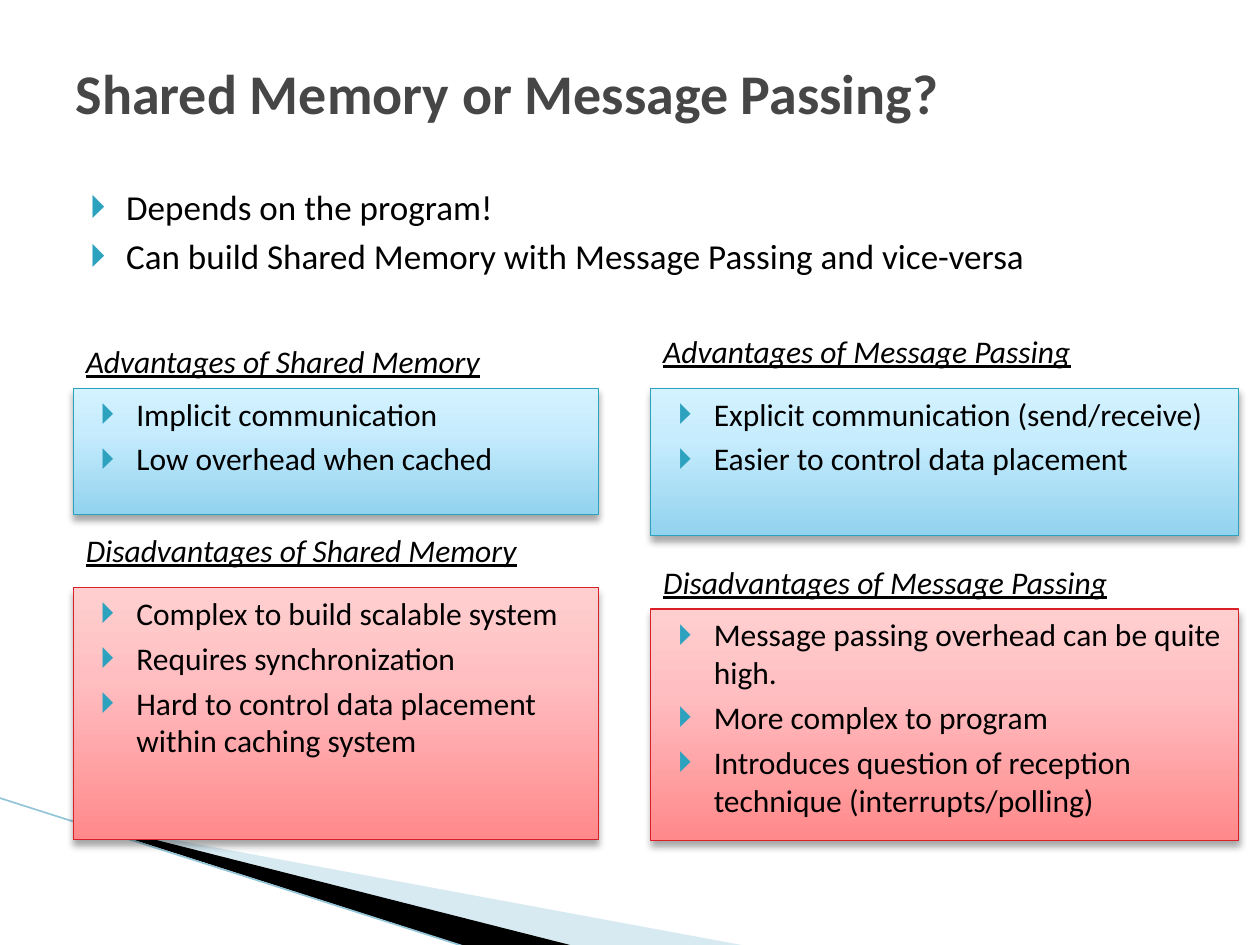
from lxml import etree
from pptx import Presentation
from pptx import util as u
from pptx.dml.color import RGBColor
from pptx.enum import shapes, text
from pptx.oxml import ns, parse_xml

FONT = "Calibri"
BULLET_FONT = "Arial"
BLACK = RGBColor(0x00, 0x00, 0x00)
TITLE_GREY = RGBColor(0x46, 0x46, 0x46)
TEAL = RGBColor(0x2D, 0xA2, 0xBF)
RED = RGBColor(0xDA, 0x1F, 0x28)
PALE_TEAL = RGBColor(0x9C, 0xCA, 0xDC)
LINE_BLUE = RGBColor(0x93, 0xC5, 0xD8)
# Gradient colours, from the bottom edge to the top edge
BLUE_SHADES = (RGBColor(0x92, 0xD3, 0xEE), RGBColor(0xC6, 0xEC, 0xFD), RGBColor(0xD4, 0xF2, 0xFF))
RED_SHADES = (RGBColor(0xFF, 0x89, 0x8B), RGBColor(0xFF, 0xBF, 0xC2), RGBColor(0xFF, 0xCF, 0xCF))
GRADIENT_STOPS = (0, 65, 100)
HEADING_HEIGHT = 1.02


def place(shape, left, top, width, height):
    shape.left, shape.top = u.Cm(left), u.Cm(top)
    shape.width, shape.height = u.Cm(width), u.Cm(height)


def add_bullet(para):
    props = para._p.get_or_add_pPr()
    props.set("marL", str(u.Cm(1.02)))
    props.set("indent", str(u.Cm(-0.71)))
    colour = etree.SubElement(props, ns.qn("a:buClr"))
    etree.SubElement(colour, ns.qn("a:srgbClr"), val=str(TEAL))
    etree.SubElement(props, ns.qn("a:buFont"), typeface=BULLET_FONT)
    etree.SubElement(props, ns.qn("a:buChar"), char="🞂")


def write_text(shape, lines, size, color=BLACK, bold=False, italic=False,
               underline=False, bullets=False, anchor=text.MSO_ANCHOR.TOP,
               fit=text.MSO_AUTO_SIZE.NONE):
    frame = shape.text_frame
    frame.word_wrap = True
    frame.auto_size = fit
    frame.vertical_anchor = anchor
    for index, line in enumerate(lines):
        para = frame.add_paragraph() if index else frame.paragraphs[0]
        para.alignment = text.PP_ALIGN.LEFT
        para.space_before = u.Pt(4 if index else 0)
        if bullets:
            add_bullet(para)
        span = para.add_run()
        span.text = line
        font = span.font
        font.name, font.size, font.color.rgb = FONT, u.Pt(size), color
        font.bold, font.italic, font.underline = bold, italic, underline


def fill_gradient(shape, shades):
    shape.fill.gradient()
    gradient = shape._element.spPr.find(ns.qn("a:gradFill"))
    stops = gradient.find(ns.qn("a:gsLst"))
    for stop in list(stops):
        stops.remove(stop)
    for position, shade in zip(GRADIENT_STOPS, shades):
        stop = etree.SubElement(stops, ns.qn("a:gs"), pos=str(position * 1000))
        etree.SubElement(stop, ns.qn("a:srgbClr"), val=str(shade))
    gradient.find(ns.qn("a:lin")).set("ang", str(270 * 60000))


def add_soft_shadow(shape):
    shape._element.spPr.append(parse_xml(
        f'<a:effectLst {ns.nsdecls("a")}>'
        f'<a:outerShdw blurRad="{u.Pt(4)}" dist="{u.Pt(3)}" dir="5400000" rotWithShape="0">'
        '<a:srgbClr val="000000"><a:alpha val="35000"/></a:srgbClr>'
        '</a:outerShdw></a:effectLst>'))


def add_wedge(page, points, color, opacity=None):
    corners = [(u.Cm(x), u.Cm(y)) for x, y in points]
    builder = page.shapes.build_freeform(*corners[0], scale=1.0)
    builder.add_line_segments(corners[1:], close=True)
    wedge = builder.convert_to_shape()
    wedge.shadow.inherit = False
    wedge.fill.solid()
    wedge.fill.fore_color.rgb = color
    wedge.line.fill.background()
    if opacity is not None:
        rgb = wedge._element.spPr.find(ns.qn("a:solidFill"))[0]
        etree.SubElement(rgb, ns.qn("a:alpha"), val=str(opacity * 1000))


def draw_corner(page, left, top):
    """Sweeping wedges and thin line, from the left edge of the page."""
    def shift(points):
        return [(left + x, top + y) for x, y in points]

    add_wedge(page, shift([(1.4, 0.46), (15.11, 3), (11.58, 3), (1.4, 0.43)]), PALE_TEAL, 40)
    add_wedge(page, shift([(1.48, 0.43), (11.61, 3), (9.45, 3.02), (1.48, 0.46)]), BLACK)
    line = page.shapes.add_connector(
        shapes.MSO_CONNECTOR.STRAIGHT, u.Cm(left - 0.03), u.Cm(top),
        u.Cm(left + 9.42), u.Cm(top + 3.02))
    line.line.color.rgb, line.line.width = LINE_BLUE, u.Pt(0.95)
    etree.SubElement(line._element.spPr, ns.qn("a:effectLst"))


def draw_header(page, left, top, width):
    title, body = page.shapes.title, page.placeholders[1]
    place(title, left, top, width, 2.21)
    write_text(title, ["Shared Memory or Message Passing?"], 32, color=TITLE_GREY,
               bold=True, anchor=text.MSO_ANCHOR.MIDDLE)
    place(body, left, top + 2.85, width, 3.18)
    write_text(body, ["Depends on the program!",
                      "Can build Shared Memory with Message Passing and vice-versa"],
               20, bullets=True)


def draw_panel(page, left, top, width, height, heading, heading_rise, heading_width,
               points, shades, edge):
    """Shaded list box with an underlined heading above it."""
    panel = page.shapes.add_shape(shapes.MSO_SHAPE.RECTANGLE, u.Cm(left), u.Cm(top),
                                  u.Cm(width), u.Cm(height))
    fill_gradient(panel, shades)
    panel.line.color.rgb, panel.line.width = edge, u.Pt(0.75)
    add_soft_shadow(panel)
    write_text(panel, points, 18, bullets=True)
    label = page.shapes.add_textbox(u.Cm(left), u.Cm(top - heading_rise),
                                    u.Cm(heading_width), u.Cm(HEADING_HEIGHT))
    write_text(label, [heading], 18, italic=True, underline=True,
               fit=text.MSO_AUTO_SIZE.SHAPE_TO_FIT_TEXT)


def draw_column(page, left, width, panels):
    styles = ((BLUE_SHADES, TEAL), (RED_SHADES, RED))
    for (top, height, heading, rise, heading_width, points), style in zip(panels, styles):
        draw_panel(page, left, top, width, height, heading, rise, heading_width,
                   points, *style)


def main():
    deck = Presentation()
    deck.slide_width, deck.slide_height = u.Cm(25.4), u.Cm(19.05)
    page = deck.slides.add_slide(deck.slide_layouts[1])

    draw_corner(page, 0, 16.08)
    draw_header(page, 1.27, 0.76, 22.86)
    # Each panel: top, height, heading, heading rise, heading width, points
    draw_column(page, 1.48, 10.58, [
        (7.83, 2.54, "Advantages of Shared Memory", 1.06, 10.24,
         ["Implicit communication", "Low overhead when cached"]),
        (11.85, 5.08, "Disadvantages of Shared Memory", 1.27, 10.9,
         ["Complex to build scalable system", "Requires synchronization",
          "Hard to control data placement within caching system"]),
    ])
    draw_column(page, 13.12, 11.85, [
        (7.83, 2.96, "Advantages of Message Passing", 1.27, 10.39,
         ["Explicit communication (send/receive)", "Easier to control data placement"]),
        (12.28, 4.66, "Disadvantages of Message Passing", 1.06, 11.3,
         ["Message passing overhead can be quite high.", "More complex to program",
          "Introduces question of reception technique (interrupts/polling)"]),
    ])
    deck.save("out.pptx")


if __name__ == "__main__":
    main()
